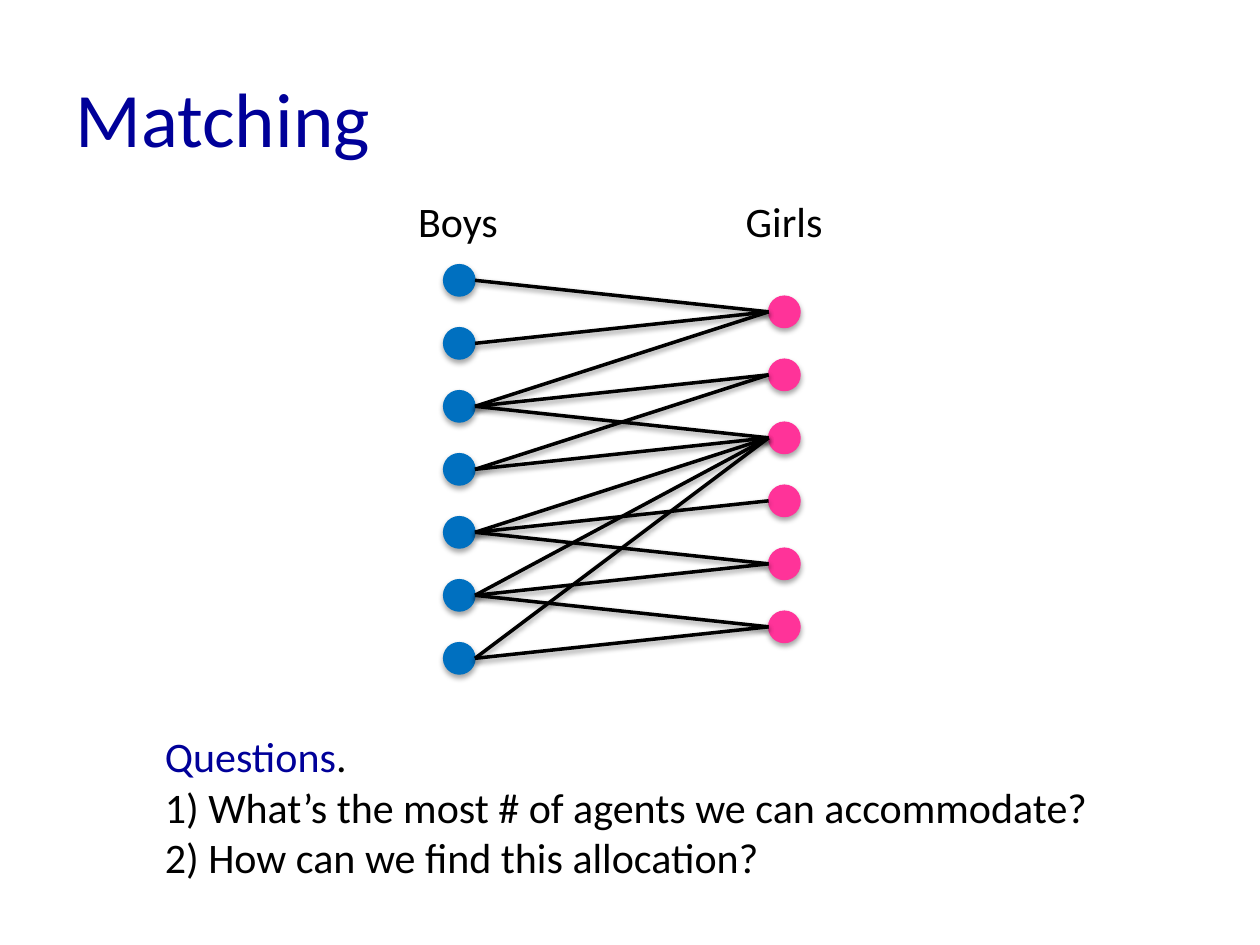
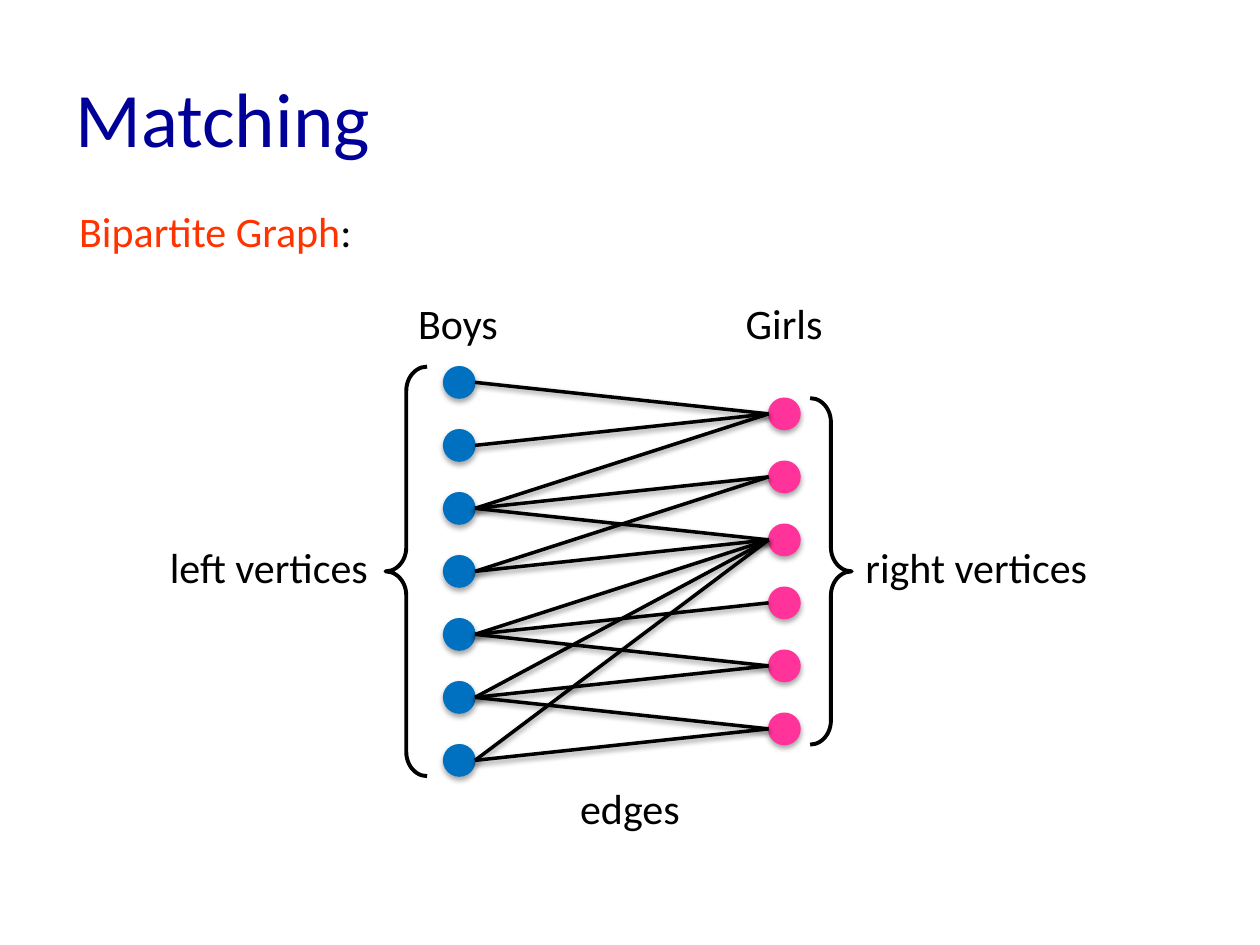
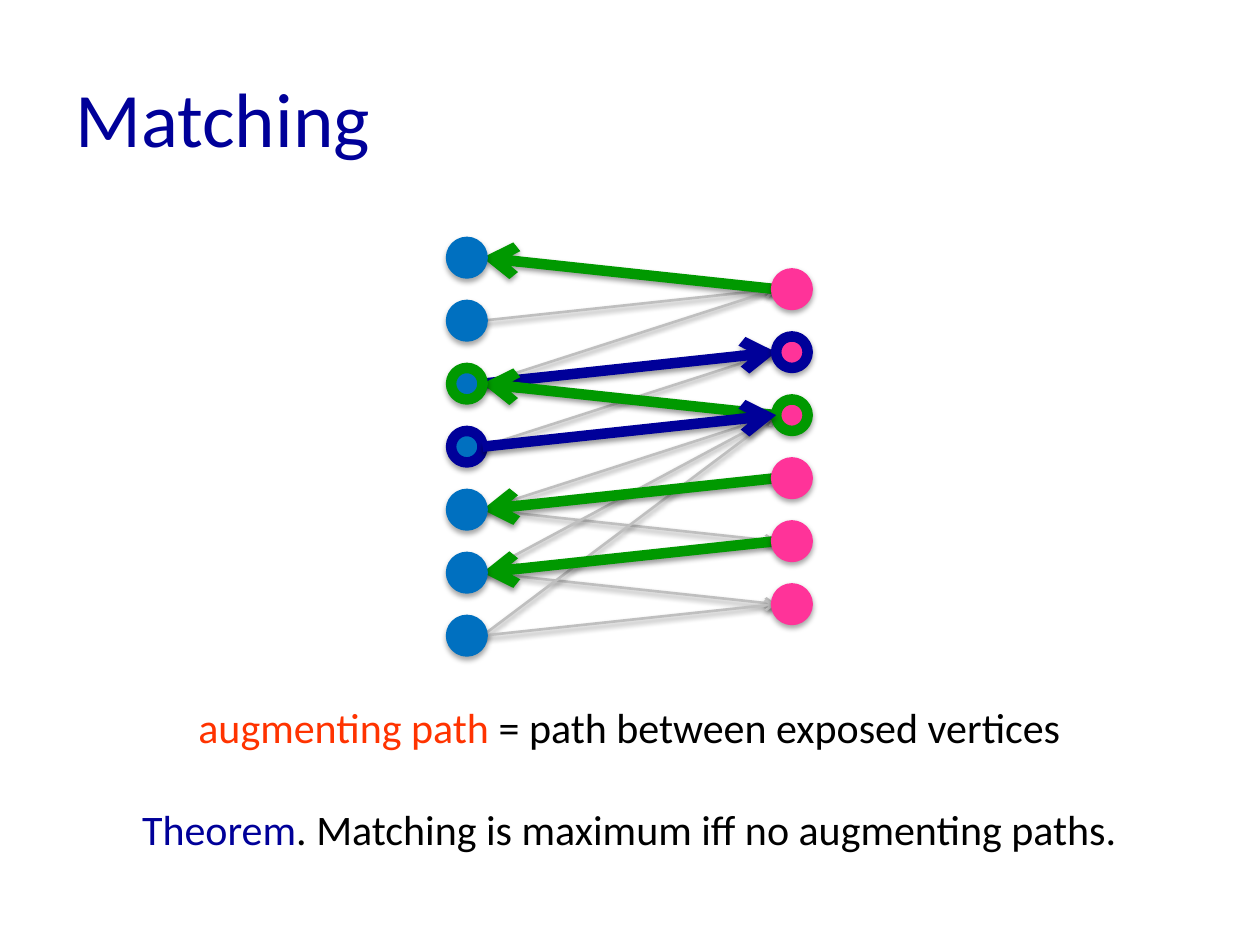
from lxml.etree import SubElement
from pptx import Presentation
from pptx.dml.color import RGBColor
from pptx.enum.shapes import MSO_CONNECTOR, MSO_SHAPE
from pptx.enum.text import MSO_ANCHOR, MSO_AUTO_SIZE, PP_ALIGN
from pptx.oxml.ns import qn
from pptx.util import Inches, Pt

BLACK = RGBColor(0x00, 0x00, 0x00)
NAVY = RGBColor(0x00, 0x00, 0x99)
BLUE = RGBColor(0x00, 0x70, 0xC0)
PINK = RGBColor(0xFF, 0x33, 0x99)
GREEN = RGBColor(0x00, 0x99, 0x00)
RED = RGBColor(0xFF, 0x33, 0x00)
GREY = RGBColor(0xBF, 0xBF, 0xBF)

FONT = "Calibri"
TITLE_SIZE = Pt(44)
TEXT_SIZE = Pt(24)
LINE_HEIGHT = Pt(29.3)

NODE = 0.25
STEP = 0.5
COLUMN_GAP = 2.58
GIRL_OFFSET = 0.25
BOYS = range(7)
GIRLS = range(6)

EDGES = [
    (0, 0), (1, 0), (2, 0), (2, 1), (2, 2),
    (3, 1), (3, 2), (4, 2), (4, 3), (4, 4),
    (5, 2), (5, 4), (5, 5), (6, 2), (6, 5),
]
MATCHED = [(0, 0), (2, 2), (4, 3), (5, 4)]
AUGMENTING = [(2, 1), (3, 2)]


class Deck:
    def __init__(self):
        self.deck = Presentation()
        self.deck.slide_width = Inches(10)
        self.deck.slide_height = Inches(7.5)
        self.page = None

    def add_page(self, title):
        self.page = self.deck.slides.add_slide(self.deck.slide_layouts[5])
        box = self.page.shapes.title
        box.left, box.top = Inches(0.5), Inches(0.3)
        box.width, box.height = Inches(9), Inches(1.25)
        box.text_frame.text = title
        box.text_frame.vertical_anchor = MSO_ANCHOR.MIDDLE
        para = box.text_frame.paragraphs[0]
        para.alignment = PP_ALIGN.LEFT
        para.font.name = FONT
        para.font.size = TITLE_SIZE
        para.font.color.rgb = NAVY

    def text(self, left, top, width, height, lines, align=PP_ALIGN.LEFT, gap=0):
        box = self.page.shapes.add_textbox(
            Inches(left), Inches(top), Inches(width), Inches(height))
        frame = box.text_frame
        frame.word_wrap = False
        frame.auto_size = MSO_AUTO_SIZE.SHAPE_TO_FIT_TEXT
        for index, spans in enumerate(lines):
            para = frame.add_paragraph() if index else frame.paragraphs[0]
            para.alignment = align
            para.font.name = FONT
            para.font.size = TEXT_SIZE
            if index and gap:
                para.space_before = gap
            for words, color in spans:
                span = para.add_run()
                span.text = words
                span.font.color.rgb = color

    def label(self, left, top, width, words, align=PP_ALIGN.LEFT):
        self.text(left, top, width, 0.5, [[(words, BLACK)]], align)

    def shadow(self, shape, distance, opacity):
        effects = SubElement(shape._element.spPr, qn("a:effectLst"))
        outer = SubElement(
            effects, qn("a:outerShdw"), blurRad=str(Pt(3.1)),
            dist=str(Pt(distance)), dir="5400000", rotWithShape="0")
        color = SubElement(outer, qn("a:srgbClr"), val=str(BLACK))
        SubElement(color, qn("a:alpha"), val=str(opacity * 1000))

    def node(self, left, top, fill, ring, weight):
        circle = self.page.shapes.add_shape(
            MSO_SHAPE.OVAL, Inches(left), Inches(top), Inches(NODE), Inches(NODE))
        circle.fill.solid()
        circle.fill.fore_color.rgb = fill
        circle.line.color.rgb = ring
        circle.line.width = Pt(weight)
        self.shadow(circle, 1.8, 35)

    def nodes(self, left, top, indices, fill, weight=0.75, rings=None):
        for index in indices:
            ring = (rings or {}).get(index, fill)
            self.node(left, top + index * STEP, fill, ring, weight)

    def links(self, left, top, edges, color, weight, arrow=None):
        for boy, girl in edges:
            line = self.page.shapes.add_connector(
                MSO_CONNECTOR.STRAIGHT,
                Inches(left + NODE), Inches(top + NODE / 2 + boy * STEP),
                Inches(left + COLUMN_GAP),
                Inches(top + NODE / 2 + GIRL_OFFSET + girl * STEP))
            line.line.color.rgb = color
            line.line.width = Pt(weight)
            if arrow:
                SubElement(line.line._get_or_add_ln(), qn(arrow), type="arrow")
            self.shadow(line, 1.6, 38)

    def brace(self, kind, left, top, height):
        brace = self.page.shapes.add_shape(
            kind, Inches(left), Inches(top), Inches(0.33), Inches(height))
        brace.shadow.inherit = False
        brace.adjustments[0] = 0.58
        brace.fill.background()
        brace.line.color.rgb = BLACK
        brace.line.width = Pt(2.25)

    def plain_graph(self, top):
        left = 3.52
        self.nodes(left, top, BOYS, BLUE)
        self.nodes(left + COLUMN_GAP, top + GIRL_OFFSET, GIRLS, PINK)
        self.links(left, top, EDGES, BLACK, 2)
        self.label(3.22, top - 0.6, 0.84, "Boys")
        self.label(5.82, top - 0.6, 0.82, "Girls")

    def matched_graph(self, left, top):
        to_boy, to_girl = "a:headEnd", "a:tailEnd"
        others = [edge for edge in EDGES if edge not in MATCHED + AUGMENTING]
        self.links(left, top, others, GREY, 1.5, to_girl)
        self.links(left, top, AUGMENTING[:1], NAVY, 6, to_girl)
        self.links(left, top, MATCHED, GREEN, 6, to_boy)
        self.nodes(left, top, BOYS, BLUE, 6, {2: GREEN, 3: NAVY})
        self.nodes(left + COLUMN_GAP, top + GIRL_OFFSET, GIRLS, PINK, 6,
                   {1: NAVY, 2: GREEN})
        self.links(left, top, AUGMENTING[1:], NAVY, 6, to_girl)


def main():
    show = Deck()

    show.add_page("Matching")
    show.plain_graph(2.1)
    show.text(1.21, 5.75, 7.58, 1.31, [
        [("Questions", NAVY), (".", BLACK)],
        [("1) What’s the most # of agents we can accommodate?", BLACK)],
        [("2) How can we find this allocation?", BLACK)],
    ])

    show.add_page("Matching")
    show.plain_graph(2.91)
    show.brace(MSO_SHAPE.LEFT_BRACE, 3.06, 2.91, 3.25)
    show.brace(MSO_SHAPE.RIGHT_BRACE, 6.43, 3.16, 2.75)
    show.label(1.25, 4.25, 1.8, "left vertices")
    show.label(6.77, 4.25, 1.98, "right vertices")
    show.label(4.5, 6.16, 1, "edges", PP_ALIGN.CENTER)
    show.text(0.53, 1.58, 2.39, 0.5, [[("Bipartite Graph", RED), (":", BLACK)]])

    show.add_page("Matching")
    show.matched_graph(3.58, 1.92)
    show.text(0.99, 5.52, 8.01, 1.31, [
        [("augmenting path", RED), (" = path between exposed vertices", BLACK)],
        [("Theorem", NAVY), (". Matching is maximum iff no augmenting paths.", BLACK)],
    ], PP_ALIGN.CENTER, LINE_HEIGHT)

    show.deck.save("out.pptx")


if __name__ == "__main__":
    main()
